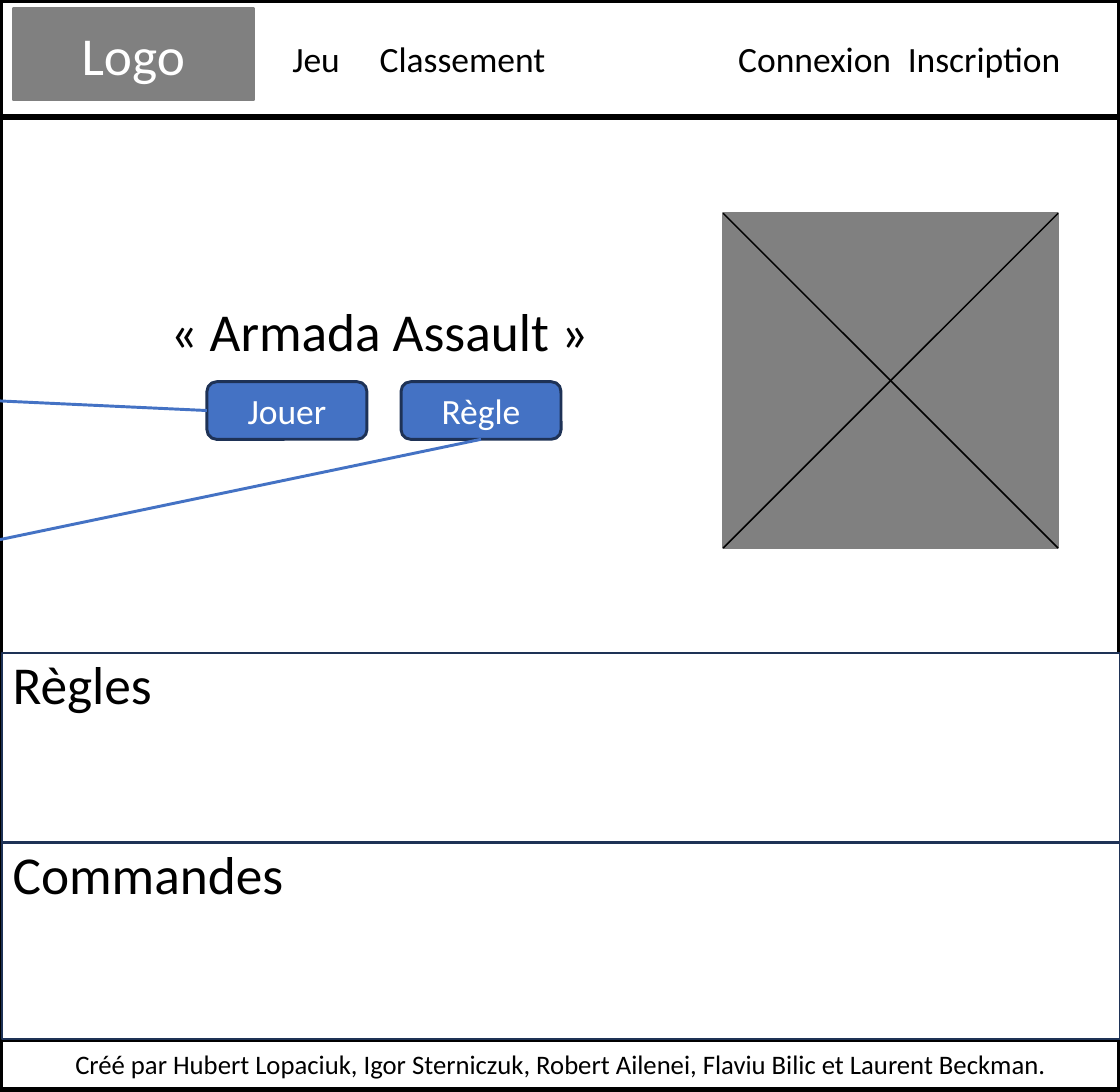
import pptx
import pptx.util
import pptx.dml.color
import pptx.enum.shapes
import pptx.enum.text
import pptx.oxml.ns
import lxml.etree

COLOURS = {
    "black": "000000",
    "white": "FFFFFF",
    "grey": "808080",
    "blue": "4472C4",
    "navy": "1E3256",
}
WIDTH, HEIGHT = 5.25, 5.12
COLUMNS = 105
CELL = WIDTH / COLUMNS
ROWS = HEIGHT / CELL

SHAPES = pptx.enum.shapes.MSO_SHAPE
ANCHORS = pptx.enum.text.MSO_ANCHOR
ALIGNS = pptx.enum.text.PP_ALIGN


def cells(count):
    return pptx.util.Inches(count * CELL)


def colour(name):
    return pptx.dml.color.RGBColor.from_string(COLOURS[name])


class Wireframe:
    """Draws on one slide, with every length counted in square grid cells."""

    font = "Calibri"
    inset = 2

    def __init__(self, page):
        self.page = page

    def block(self, left, top, width, height, fill=None, line="black",
              weight=2, kind=SHAPES.RECTANGLE):
        box = self.page.shapes.add_shape(
            kind, cells(left), cells(top), cells(width), cells(height))
        box.shadow.inherit = False
        if fill:
            box.fill.solid()
            box.fill.fore_color.rgb = colour(fill)
        else:
            box.fill.background()
        box.line.color.rgb = colour(line)
        box.line.width = pptx.util.Pt(weight)
        return box

    def label(self, box, text, size, ink="black", align=ALIGNS.CENTER,
              anchor=ANCHORS.MIDDLE, inset=inset, tabs=()):
        frame = box.text_frame
        frame.word_wrap = True
        frame.vertical_anchor = anchor
        frame.margin_left = cells(inset)
        para = frame.paragraphs[0]
        para.alignment = align
        if tabs:
            self.add_tabs(para, tabs)
        span = para.add_run()
        span.text = text
        span.font.name = self.font
        span.font.size = pptx.util.Pt(size)
        span.font.color.rgb = colour(ink)

    def add_tabs(self, para, tabs):
        name = pptx.oxml.ns.qn
        properties = para._p.get_or_add_pPr()
        stops = lxml.etree.SubElement(properties, name("a:tabLst"))
        for tab in tabs:
            lxml.etree.SubElement(stops, name("a:tab"), pos=str(cells(tab)), algn="l")

    def heading(self, left, top, width, text, inset=inset):
        box = self.page.shapes.add_textbox(
            cells(left), cells(top), cells(width), cells(8))
        self.label(box, text, 18, align=ALIGNS.LEFT, anchor=ANCHORS.TOP, inset=inset)
        box.text_frame.word_wrap = False

    def button(self, left, top, text):
        box = self.block(left, top, 15, 5.4, "blue", "navy", 1,
                         SHAPES.ROUNDED_RECTANGLE)
        self.label(box, text, 12, "white")
        return box

    def line(self, start, end, ink="black", weight=0.5):
        link = self.page.shapes.add_connector(
            pptx.enum.shapes.MSO_CONNECTOR.STRAIGHT,
            *(cells(value) for value in (*start, *end)))
        link.line.color.rgb = colour(ink)
        link.line.width = pptx.util.Pt(weight)
        lxml.etree.SubElement(link._element.spPr, pptx.oxml.ns.qn("a:effectLst"))
        return link

    def image_placeholder(self, left, top, side):
        self.block(left, top, side, side, "grey", "grey", 0.75)
        right, bottom = left + side, top + side
        self.line((left, top), (right, bottom))
        self.line((right, top), (left, bottom))


def main():
    deck = pptx.Presentation()
    deck.slide_width = pptx.util.Inches(WIDTH)
    deck.slide_height = pptx.util.Inches(HEIGHT)
    wireframe = Wireframe(deck.slides.add_slide(deck.slide_layouts[6]))

    wireframe.block(0, 0, COLUMNS, ROWS)
    header = wireframe.block(0, 0, COLUMNS, 11)
    wireframe.label(header, "Jeu\tClassement\tConnexion\tInscription", 12,
                    align=ALIGNS.LEFT, inset=27.4, tabs=(8.2, 41.8, 57.7))
    wireframe.image_placeholder(67.8, 20, 31.4)
    logo = wireframe.block(1.2, 0.8, 22.6, 8.6, "grey", "grey", 0.75)
    wireframe.label(logo, "Logo", 18, "white")

    wireframe.heading(14, 27, 43.6, "« Armada Assault »")
    # label, joined side, row where its link leaves the slide
    buttons = (("Jouer", 1, 37.6), ("Règle", 2, 50.6))
    for index, (text, side, exit_row) in enumerate(buttons):
        button = wireframe.button(19.4 + 18.2 * index, 35.8, text)
        link = wireframe.line((19.4, 38.5), (0, exit_row), "blue", 1)
        link.begin_connect(button, side)

    footer = wireframe.block(0, 97.4, COLUMNS, 4.8)
    wireframe.label(footer, "Créé par Hubert Lopaciuk, Igor Sterniczuk, Robert Ailenei, "
                    "Flaviu Bilic et Laurent Beckman.", 9)
    for index, title in enumerate(("Règles", "Commandes")):
        top = 61.2 + 17.8 * index
        wireframe.block(0.2, top, COLUMNS - 0.2, 18.4, "white", "navy", 0.75)
        wireframe.heading(0, top - 1.1, 30, title, inset=1.2)

    deck.save("out.pptx")


if __name__ == "__main__":
    main()
